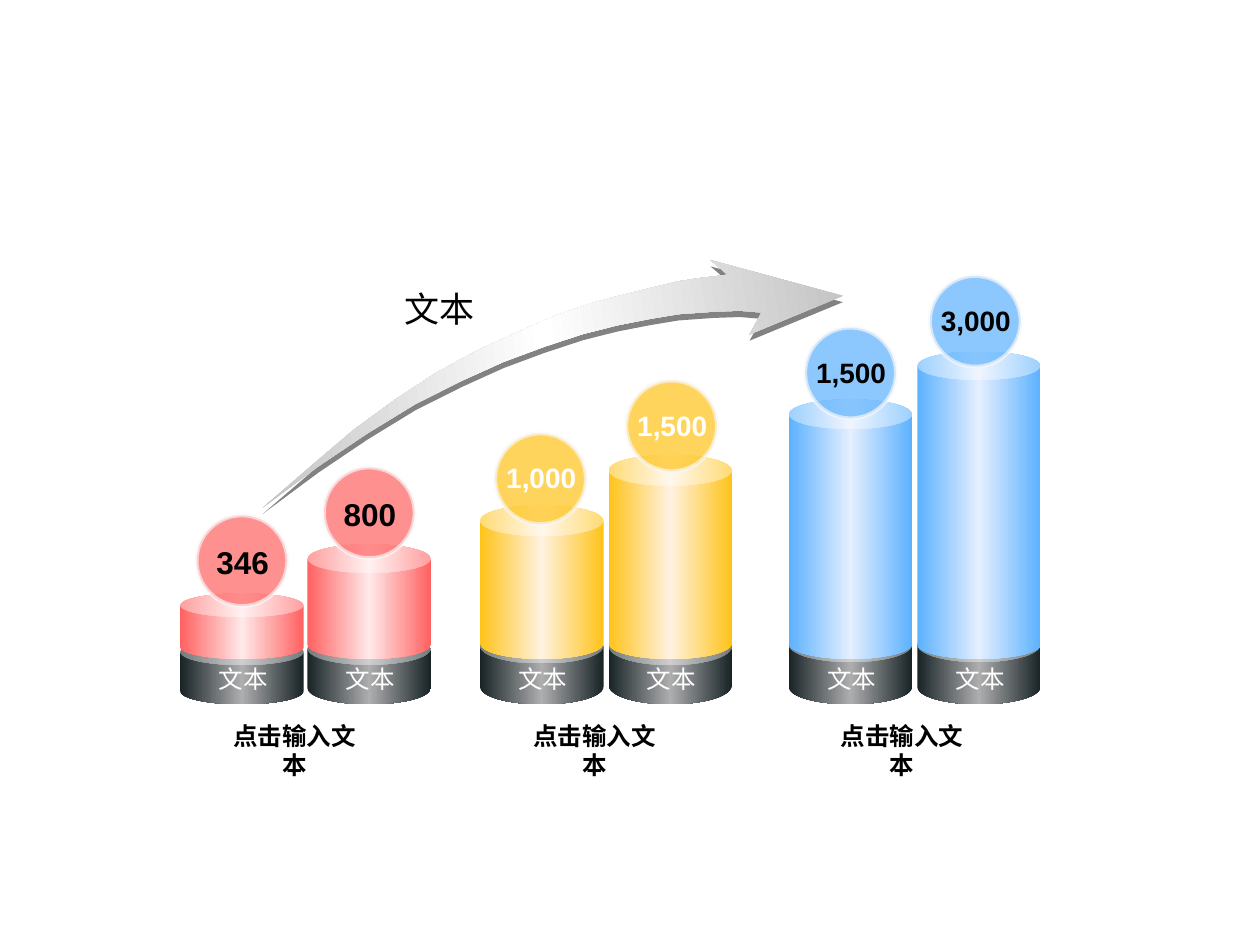
from collections import namedtuple
from copy import deepcopy
from math import cos, radians, sin

from lxml import etree
from pptx import Presentation
from pptx import util as u
from pptx.dml.color import RGBColor
from pptx.enum import shapes, text
from pptx.oxml.ns import qn

# The slide is a grid of 1000 columns by 750 rows.
CELL = u.Inches(0.01)
COLUMNS, ROWS = 1000, 750

BLACK = RGBColor(0x00, 0x00, 0x00)
WHITE = RGBColor(0xFF, 0xFF, 0xFF)
RIM = RGBColor(0xF8, 0xF8, 0xF8)
BASE_EDGE = RGBColor(0x18, 0x23, 0x26)
BASE_SHINE = RGBColor(0xAE, 0xAE, 0xAF)
SILVER = RGBColor(0xC0, 0xC0, 0xC0)
ARROW_SIDE = RGBColor(0x82, 0x82, 0x82)
RED, RED_SHINE = RGBColor(0xFF, 0x61, 0x61), RGBColor(0xFF, 0xE9, 0xE9)
YELLOW, YELLOW_SHINE = RGBColor(0xFF, 0xC3, 0x19), RGBColor(0xFF, 0xF2, 0xE2)
BLUE, BLUE_SHINE = RGBColor(0x5C, 0xB1, 0xFE), RGBColor(0xE5, 0xEF, 0xFF)

PILLAR_WIDTH, PILLAR_FOOT = 98, 523
BASE_FOOT, LABEL_TOP, CAPTION_TOP = 559, 522, 567
BALL_SIZE = 72

# Tops and lefts are grid positions; lids are the adjustments of the cans.
Pillar = namedtuple("Pillar", "value left top lid base_top base_lid ball_left ball_top")
Group = namedtuple("Group", "color shine number_color number_size caption_left pillars")
GROUPS = [
    Group(RED, RED_SHINE, BLACK, 18, 175, [
        Pillar("346", 143, 471, 0.36, 507, 0.4, 156, 409),
        Pillar("800", 244, 432, 0.25, 502, 0.45, 257, 371)]),
    Group(YELLOW, YELLOW_SHINE, WHITE, 16, 413, [
        Pillar("1,000", 381, 401, 0.25, 499, 0.46, 393, 344),
        Pillar("1,500", 483, 361, 0.25, 498, 0.49, 497, 302)]),
    Group(BLUE, BLUE_SHINE, BLACK, 16, 657, [
        Pillar("1,500", 626, 317, 0.24, 498, 0.45, 639, 260),
        Pillar("3,000", 728, 279, 0.23, 498, 0.45, 738, 219)]),
]

ARROW_CENTER = (436, 298)
ARROW_SLANT, ARROW_ROTATION = 6.2, -8.2
ARROW_DEPTH = 5
ARROW_OUTLINE = [
    (205, 395), (245, 363), (279, 336), (313, 313), (346, 293), (380, 276),
    (412, 263), (442, 251), (471, 242), (497, 236), (521, 231), (541, 227),
    (557, 225), (570, 224), (580, 223), (567, 211), (671, 243), (596, 271),
    (606, 254), (589, 252), (568, 252), (540, 253), (517, 256), (492, 260),
    (464, 266), (433, 275), (400, 286), (366, 300), (329, 317), (290, 339),
    (250, 364),
]


def cells(*counts):
    return [round(count * CELL) for count in counts]


def fill_shine(shape, edge, shine):
    """Fill from edge colour through a bright middle back to the edge colour."""
    shape.fill.gradient()
    shape.fill.gradient_angle = 0
    first_stop = next(shape._element.spPr.iter(qn("a:gs")))
    first_stop.addnext(deepcopy(first_stop))
    for stop, position, color in zip(shape.fill.gradient_stops, (0, 0.5, 1), (edge, shine, edge)):
        stop.position = position
        stop.color.rgb = color


def set_opacity(fill_parent, percent):
    color = next(fill_parent.iter(qn("a:srgbClr")))
    etree.SubElement(color, qn("a:alpha")).set("val", str(percent * 1000))


def add_can(slide, left, top, foot, lid, edge, shine):
    can = slide.shapes.add_shape(
        shapes.MSO_SHAPE.CAN, *cells(left, top, PILLAR_WIDTH, foot - top))
    can.adjustments[0] = lid
    can.shadow.inherit = False
    can.line.fill.background()
    fill_shine(can, edge, shine)


def add_words(slide, words, place, size, color=BLACK, bold=False, wrap=True):
    box = slide.shapes.add_textbox(*cells(*place))
    frame = box.text_frame
    frame.word_wrap = wrap
    line = frame.paragraphs[0]
    line.text = words
    line.alignment = text.PP_ALIGN.CENTER
    line.font.name = "Arial"
    line.font.size = u.Pt(size)
    line.font.bold = bold
    line.font.color.rgb = color
    return frame


def add_ball(slide, pillar, group):
    left, top = pillar.ball_left, pillar.ball_top
    ball = slide.shapes.add_shape(
        shapes.MSO_SHAPE.OVAL, *cells(left, top, BALL_SIZE, BALL_SIZE))
    ball.shadow.inherit = False
    ball.fill.solid()
    ball.fill.fore_color.rgb = group.color
    set_opacity(ball._element.spPr.find(qn("a:solidFill")), 70)
    ball.line.color.rgb = RIM
    ball.line.width = u.Pt(2.25)
    set_opacity(ball._element.spPr.find(qn("a:ln")), 66)
    add_words(slide, pillar.value, (left - 11, top + 17, 95, 37),
              group.number_size, group.number_color, bold=True)


def add_pillar(slide, pillar, group):
    add_can(slide, pillar.left, pillar.base_top, BASE_FOOT, pillar.base_lid,
            BASE_EDGE, BASE_SHINE)
    add_can(slide, pillar.left, pillar.top, PILLAR_FOOT, pillar.lid,
            group.color, group.shine)
    add_ball(slide, pillar, group)
    add_words(slide, "文本", (pillar.left, LABEL_TOP, 100, 33), 14, WHITE)


def turn(point, degrees):
    """Turn a grid point clockwise around the centre of the arrow."""
    angle = radians(degrees)
    across, down = (value - mid for value, mid in zip(point, ARROW_CENTER))
    return (ARROW_CENTER[0] + across * cos(angle) - down * sin(angle),
            ARROW_CENTER[1] + across * sin(angle) + down * cos(angle))


def add_arrow(slide, drop):
    start, *rest = [turn(point, ARROW_SLANT) for point in ARROW_OUTLINE]
    builder = slide.shapes.build_freeform(*cells(*start), scale=1.0)
    builder.add_line_segments([cells(*point) for point in rest], close=True)
    arrow = builder.convert_to_shape()
    arrow.top += drop * CELL
    arrow.rotation = ARROW_ROTATION
    arrow.shadow.inherit = False
    arrow.line.fill.background()
    return arrow


def main():
    deck = Presentation()
    deck.slide_width, deck.slide_height = cells(COLUMNS, ROWS)
    slide = deck.slides.add_slide(deck.slide_layouts[6])

    for group in GROUPS:
        for pillar in group.pillars:
            add_pillar(slide, pillar, group)
        caption = add_words(slide, "点击输入文本", (group.caption_left, CAPTION_TOP, 137, 33),
                            14, bold=True)
        caption.margin_right = 29 * CELL

    add_words(slide, "文本", (311, 223, 76, 43), 20, wrap=False)
    side = add_arrow(slide, ARROW_DEPTH)
    side.fill.solid()
    side.fill.fore_color.rgb = ARROW_SIDE
    fill_shine(add_arrow(slide, 0), SILVER, WHITE)

    deck.save("out.pptx")


if __name__ == "__main__":
    main()
